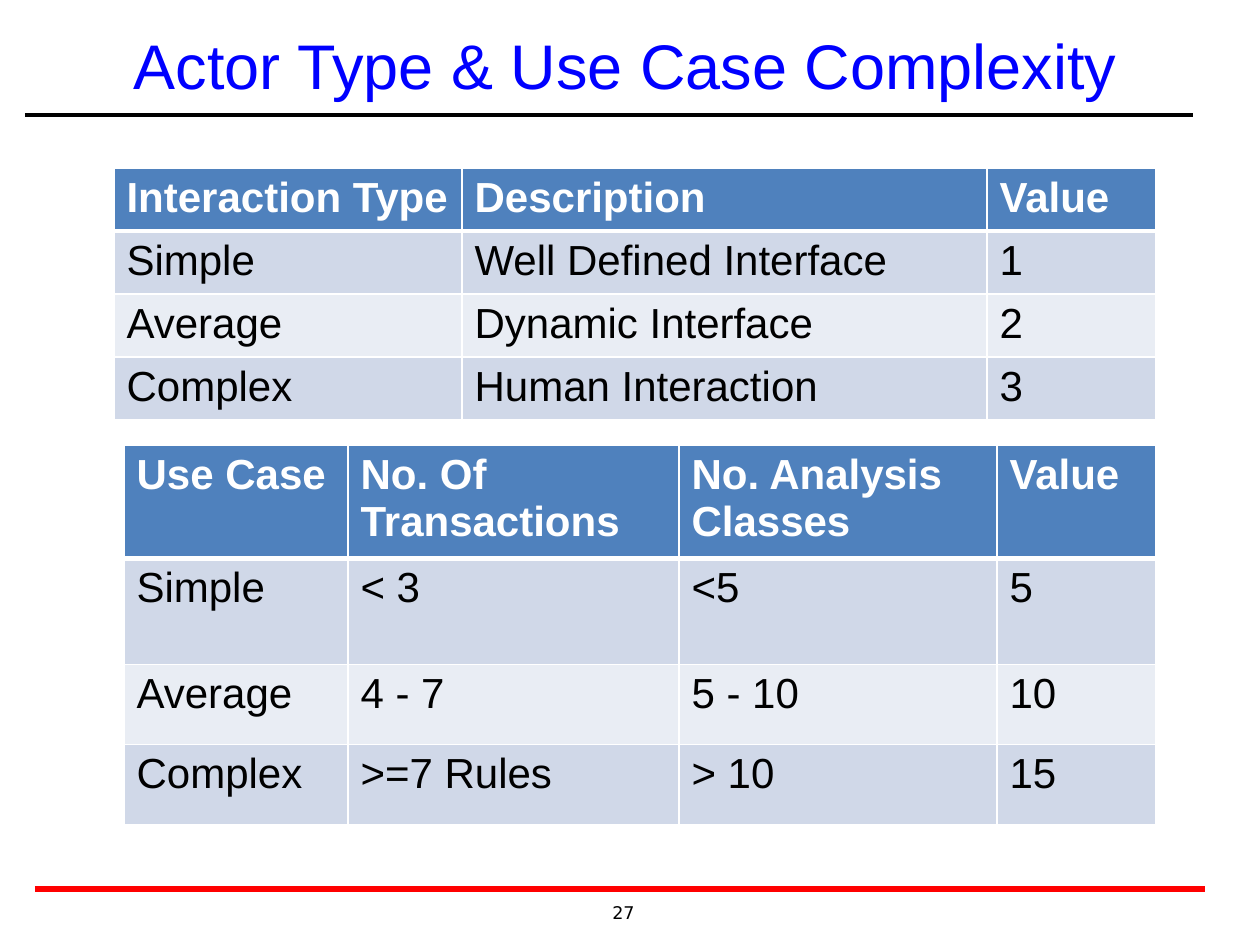
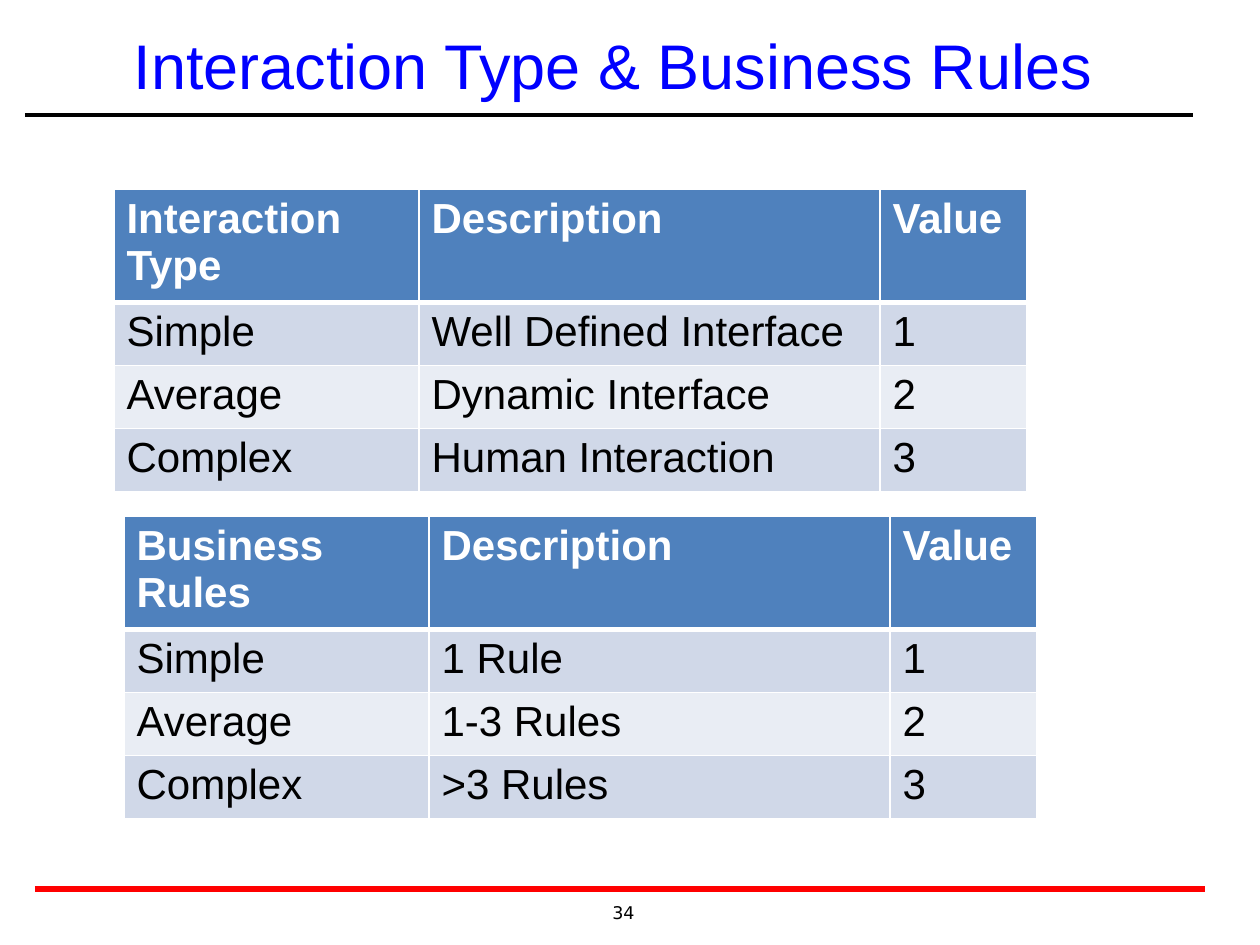
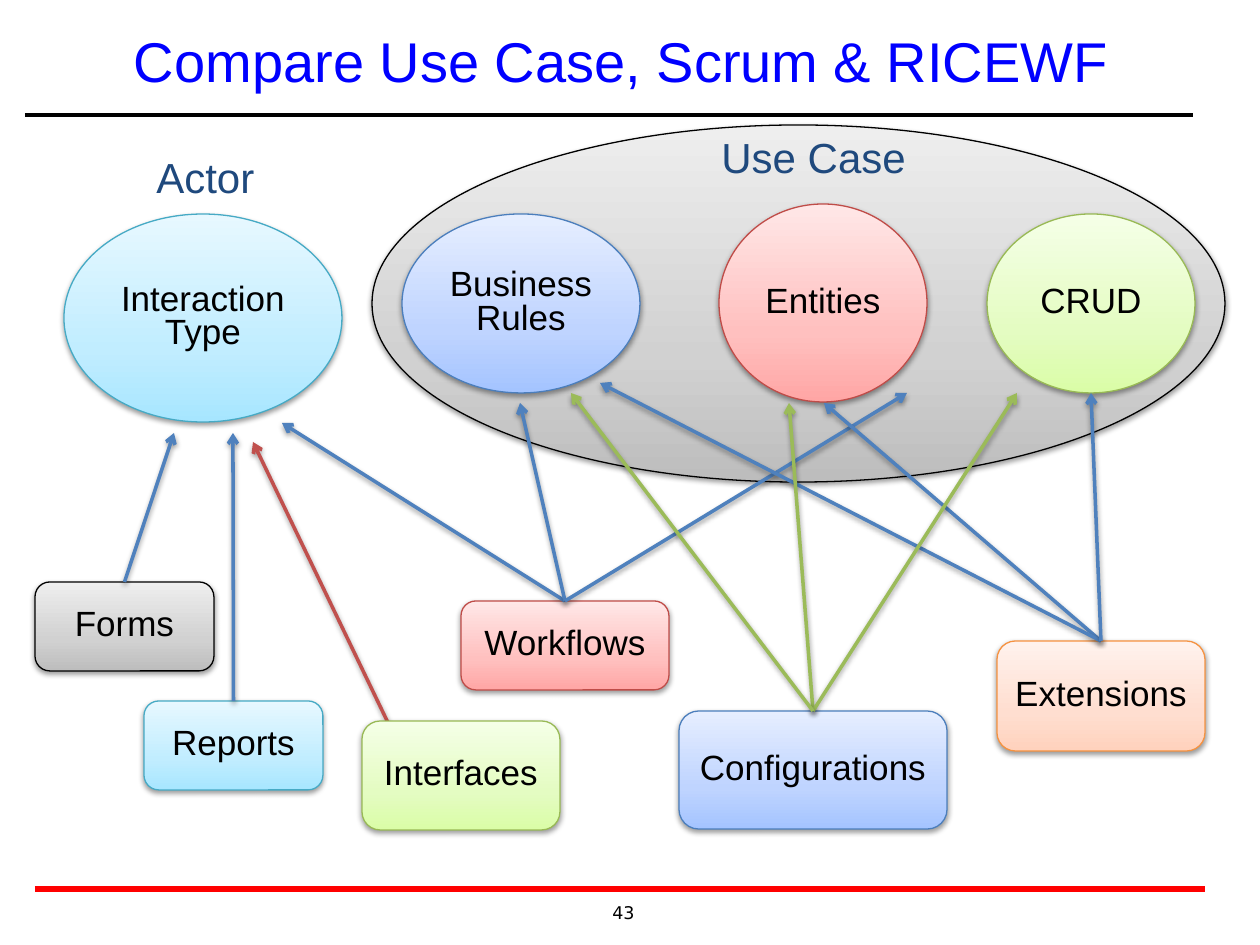
from pptx import Presentation
from pptx.dml.color import RGBColor
from pptx.enum.shapes import MSO_CONNECTOR as Link, MSO_SHAPE as Kind
from pptx.enum.text import MSO_ANCHOR as Anchor, PP_ALIGN as Align
from pptx.oxml import parse_xml
from pptx.oxml.ns import nsdecls
from pptx.util import Pt

SCALE = 914400 / 126

# Shared look
BLACK, WHITE, RED = "000000", "FFFFFF", "FF0000"
TITLE, LABEL, HEAD = "0000FF", "1F497D", "4F81BD"
BANDS = ["D0D8E8", "E9EDF4"]
BLUE, GREEN, ROSE = "4F81BD", "9BBB59", "C0504D"
PAINTS = {  # outline, then gradient from bottom to top
    "gray": (BLACK, "BDBDBD", "D1D1D1", "EEEEEE"),
    "aqua": ("46AAC5", "A7E6FF", "C1EDFF", "E7F8FF"),
    "blue": ("4B7EBC", "A4C4FF", "BFD4FF", "E6EEFF"),
    "rose": ("BF4C48", "FFA6A5", "FFC0BF", "FFE7E7"),
    "green": ("98B955", "DAFDA7", "E4FCC2", "F5FFE7"),
    "peach": ("F69240", "FFD2BD", "FFDED0", "FFF2ED"),
}
STOPS = (0, 35, 100)

# Tables: left, top, column widths, row heights, rows
INTERACT = [
    ("Interaction Type", "Description", "Value"),
    ("Simple", "Well Defined Interface", "1"),
    ("Average", "Dynamic Interface", "2"),
    ("Complex", "Human Interaction", "3"),
]
CASES = [
    ("Use Case", "No. Of Transactions", "No. Analysis Classes", "Value"),
    ("Simple", "< 3", "<5", "5"),
    ("Average", "4 - 7", "5 - 10", "10"),
    ("Complex", ">=7 Rules", "> 10", "15"),
]
RULES = [
    ("Business Rules", "Description", "Value"),
    ("Simple", "1 Rule", "1"),
    ("Average", "1-3 Rules", "2"),
    ("Complex", ">3 Rules", "3"),
]
NARROW, TALL = (305, 461, 147), (104, 59, 59, 59)
GRIDS = [
    ("Actor Type & Use Case Complexity", 27, [
        (114, 168, (348, 525, 169), (59,) * 4, INTERACT),
        (124, 445, (224, 331, 318, 159), (105, 106, 80, 80), CASES)]),
    ("Interaction Type & Business Rules", 34, [
        (114, 189, NARROW, TALL, INTERACT),
        (124, 516, NARROW, TALL, RULES)]),
]

# Diagram: text, paint, left, top, width, height
POOL = ("", "gray", 372, 125, 853, 357)
OVALS = [
    ("Interaction Type", "aqua", 64, 214, 278, 208),
    ("Business Rules", "blue", 402, 214, 238, 179),
    ("Entities", "rose", 719, 204, 208, 198),
    ("CRUD", "green", 987, 214, 208, 179),
]
BOXES = [
    ("Forms", "gray", 35, 582, 179, 89),
    ("Reports", "aqua", 144, 701, 179, 89),
    ("Workflows", "rose", 461, 601, 208, 89),
    ("Extensions", "peach", 997, 641, 208, 110),
    ("Configurations", "blue", 679, 711, 268, 118),
    ("Interfaces", "green", 362, 721, 198, 109),
]
ARROWS = [  # box, colour, tips
    ("Forms", BLUE, [(174, 433)]),
    ("Reports", BLUE, [(233, 433)]),
    ("Workflows", BLUE, [(282, 423), (520, 403), (907, 393)]),
    ("Extensions", BLUE, [(824, 403), (600, 383), (1091, 393)]),
    ("Configurations", GREEN, [(789, 403), (1017, 393), (571, 393)]),
]
LABELS = [("Actor", 144, 155, 125, 53), ("Use Case", 709, 135, 212, 53)]


def px(*nums):
    return [round(n * SCALE) for n in nums]


def rgb(code):
    return RGBColor.from_string(code)


def write(frame, text, size, color, font="Arial", space=1.0, align=Align.LEFT, bold=False):
    para = frame.paragraphs[0]
    para.text = text
    para.alignment, para.line_spacing = align, space
    for key, val in {"size": Pt(size), "name": font, "bold": bold}.items():
        setattr(para.font, key, val)
    para.font.color.rgb = rgb(color)


def label(slide, text, at, size, color, wrap=True, inset=0, anchor=Anchor.TOP, **look):
    frame = slide.shapes.add_textbox(*px(*at)).text_frame
    frame.word_wrap, frame.vertical_anchor = wrap, anchor
    for side, pad in zip(("left", "top", "right", "bottom"), (inset, inset / 2) * 2):
        setattr(frame, f"margin_{side}", Pt(pad))
    write(frame, text, size, color, **look)


def effect(part, shade):
    glow = (f'<a:outerShdw blurRad="{Pt(3.1)}" dist="{Pt(1.6)}" dir="5400000" rotWithShape="0">'
            f'<a:srgbClr val="{BLACK}"><a:alpha val="38000"/></a:srgbClr></a:outerShdw>')
    xml = f'<a:effectLst {nsdecls("a")}>{glow if shade else ""}</a:effectLst>'
    part._element.spPr.append(parse_xml(xml))


def line(slide, start, end, color, width, arrow=False):
    link = slide.shapes.add_connector(Link.STRAIGHT, *px(*start, *end))
    link.line.color.rgb, link.line.width = rgb(color), Pt(width)
    if arrow:
        link.line._get_or_add_ln().append(
            parse_xml(f'<a:tailEnd {nsdecls("a")} type="arrow"/>'))
    effect(link, arrow)
    return link


def node(slide, kind, text, paint, *at):
    part = slide.shapes.add_shape(kind, *px(*at))
    edge, *tones = PAINTS[paint]
    part.line.color.rgb, part.line.width = rgb(edge), Pt(0.75)
    stops = "".join(f'<a:gs pos="{pos * 1000}"><a:srgbClr val="{tone}"/></a:gs>'
                    for pos, tone in zip(STOPS, tones))
    part._element.spPr.prstGeom.addnext(parse_xml(
        f'<a:gradFill {nsdecls("a")} rotWithShape="1"><a:gsLst>{stops}</a:gsLst>'
        '<a:lin ang="16200000" scaled="0"/></a:gradFill>'))
    effect(part, True)
    if text:
        part.text_frame.word_wrap = True
        part.text_frame.vertical_anchor = Anchor.MIDDLE
        write(part.text_frame, text, 20, BLACK, space=0.8, align=Align.CENTER)
    return part


def border(cell, row):
    props = cell._tc.get_or_add_tcPr()
    widths = {"L": 1, "R": 1, "T": 3 if row == 1 else 1, "B": 3 if row == 0 else 1}
    for spot, (side, width) in enumerate(widths.items()):
        props.insert(spot, parse_xml(
            f'<a:ln{side} {nsdecls("a")} w="{Pt(width)}"><a:solidFill>'
            f'<a:srgbClr val="{WHITE}"/></a:solidFill></a:ln{side}>'))


def grid(slide, left, top, cols, rows, data):
    size = px(left, top, sum(cols), sum(rows))
    table = slide.shapes.add_table(len(rows), len(cols), *size).table
    for col, width in zip(table.columns, px(*cols)):
        col.width = width
    for r, (row, height) in enumerate(zip(table.rows, px(*rows))):
        row.height = height
        for cell, text in zip(row.cells, data[r]):
            cell.fill.solid()
            cell.fill.fore_color.rgb = rgb(BANDS[(r - 1) % 2] if r else HEAD)
            write(cell.text_frame, text, 24, BLACK if r else WHITE, bold=r == 0)
            border(cell, r)


def page(deck, title, number, size=36, height=76):
    slide = deck.slides.add_slide(deck.slide_layouts[6])
    line(slide, (25, 115), (1193, 115), BLACK, 2)
    line(slide, (35, 889), (1205, 889), RED, 3)
    label(slide, str(number), (592, 897, 63, 32), 10, BLACK, font="DejaVu Sans",
          anchor=Anchor.MIDDLE, align=Align.CENTER)
    label(slide, title, (134, 26, 1062, height), size, TITLE, anchor=Anchor.BOTTOM)
    return slide


def diagram(slide):
    node(slide, Kind.OVAL, *POOL)
    line(slide, (392, 731), (253, 442), ROSE, 2, True)
    for oval in OVALS:
        node(slide, Kind.OVAL, *oval)
    parts = {box[0]: node(slide, Kind.ROUNDED_RECTANGLE, *box) for box in BOXES}
    for name, color, tips in ARROWS:
        for tip in tips:
            line(slide, (0, 0), tip, color, 2, True).begin_connect(parts[name], 0)
    for text, *at in LABELS:
        label(slide, text, at, 24, LABEL, wrap=False, inset=7.2, space=0.8)


def main():
    deck = Presentation()
    deck.slide_width, deck.slide_height = px(1260, 945)
    for title, number, tables in GRIDS:
        slide = page(deck, title, number)
        for table in tables:
            grid(slide, *table)
    diagram(page(deck, "Compare Use Case, Scrum & RICEWF", 43, 32, 68))
    deck.save("out.pptx")


if __name__ == "__main__":
    main()
